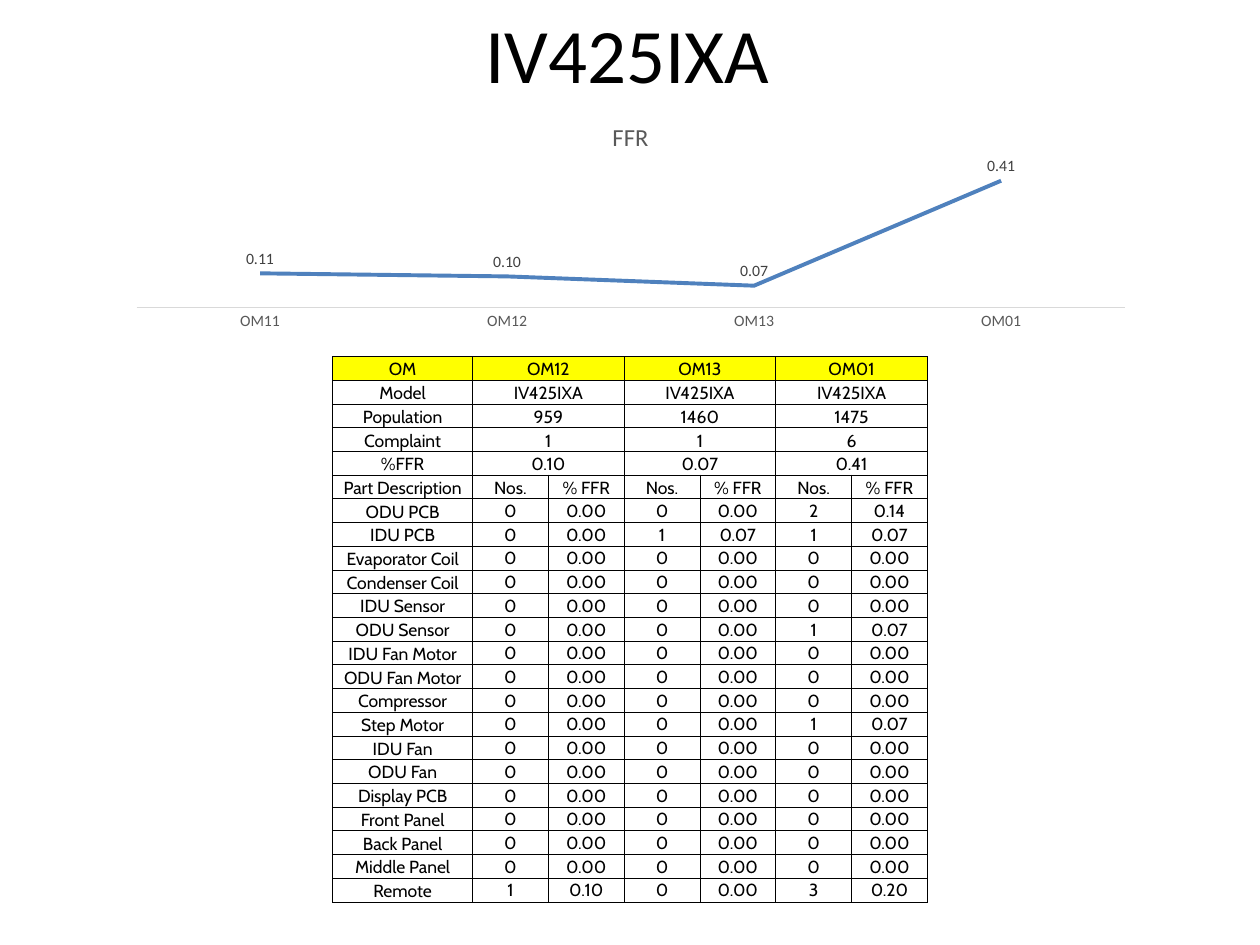
from lxml import etree
from pptx import Presentation
from pptx.chart.data import CategoryChartData
from pptx.dml.color import RGBColor
from pptx.enum.chart import XL_CHART_TYPE, XL_LABEL_POSITION, XL_MARKER_STYLE, XL_TICK_MARK
from pptx.enum.text import MSO_ANCHOR, PP_ALIGN
from pptx.oxml import parse_xml
from pptx.oxml.ns import nsdecls, qn
from pptx.util import Inches, Pt

LINE = XL_CHART_TYPE.LINE
ABOVE = XL_LABEL_POSITION.ABOVE
NO_MARKER = XL_MARKER_STYLE.NONE
NO_TICK = XL_TICK_MARK.NONE
MIDDLE, BOTTOM = MSO_ANCHOR.MIDDLE, MSO_ANCHOR.BOTTOM
CENTER = PP_ALIGN.CENTER

COLORS = {"text": "000000", "header": "FFFF00", "trend": "4F81BD",
          "muted": "595959", "label": "404040", "axis": "D9D9D9"}
MODEL = "IV425IXA"
FFR = {"OM11": 0.11, "OM12": 0.10, "OM13": 0.07, "OM01": 0.41}
MONTHS = ["OM12", "OM13", "OM01"]
POPULATION = [959, 1460, 1475]
COMPLAINTS = [1, 1, 6]
PART_FAILURES = [
    ("ODU PCB", 0, 0, 2), ("IDU PCB", 0, 1, 1),
    ("Evaporator Coil", 0, 0, 0), ("Condenser Coil", 0, 0, 0),
    ("IDU Sensor", 0, 0, 0), ("ODU Sensor", 0, 0, 1),
    ("IDU Fan Motor", 0, 0, 0), ("ODU Fan Motor", 0, 0, 0),
    ("Compressor", 0, 0, 0), ("Step Motor", 0, 0, 1),
    ("IDU Fan", 0, 0, 0), ("ODU Fan", 0, 0, 0),
    ("Display PCB", 0, 0, 0), ("Front Panel", 0, 0, 0),
    ("Back Panel", 0, 0, 0), ("Middle Panel", 0, 0, 0),
    ("Remote", 1, 0, 3),
]
SUMMARY = [
    ("OM", MONTHS),
    ("Model", [MODEL] * len(MONTHS)),
    ("Population", POPULATION),
    ("Complaint", COMPLAINTS),
    ("%FFR", [f"{FFR[month]:.2f}" for month in MONTHS]),
]
TITLE_BOX = (0.48, 0.17, 9, 0.5)
CHART_BOX = (0.92, 0.83, 8.17, 1.83)
TABLE_BOX = (2.64, 2.83, 4.72, 4.33)
PLOT_SHARES = {"x": 0.02, "y": 0.21, "w": 0.96, "h": 0.67}
PART_WIDTH = 1.11


def color(name):
    return RGBColor.from_string(COLORS[name])


def box(lengths):
    return [Inches(length) for length in lengths]


def style(font, size, name, face="Calibri"):
    font.size, font.name, font.bold = Pt(size), face, False
    font.color.rgb = color(name)


def write_cell(cell, text, anchor=BOTTOM):
    cell.margin_left = cell.margin_right = cell.margin_top = Inches(0.01)
    cell.margin_bottom = 0
    cell.vertical_anchor = anchor
    paragraph = cell.text_frame.paragraphs[0]
    paragraph.alignment = CENTER
    run = paragraph.add_run()
    run.text = str(text)
    style(run.font, 10, "text", "Cabin")


def frame_cell(cell, fill=None):
    properties = cell._tc.get_or_add_tcPr()
    for side in ("lnL", "lnR", "lnT", "lnB"):
        properties.append(parse_xml(
            f'<a:{side} {nsdecls("a")} w="{Pt(0.5)}"><a:solidFill>'
            f'<a:srgbClr val="{COLORS["text"]}"/></a:solidFill></a:{side}>'))
    if fill:
        cell.fill.solid()
        cell.fill.fore_color.rgb = color(fill)
    else:
        cell.fill.background()


def add_title(slide):
    title = slide.shapes.title
    title.left, title.top, title.width, title.height = box(TITLE_BOX)
    title.text_frame.vertical_anchor = MIDDLE
    paragraph = title.text_frame.paragraphs[0]
    paragraph.alignment = CENTER
    run = paragraph.add_run()
    run.text = MODEL
    style(run.font, 44, "text")


def add_trend(slide):
    data = CategoryChartData(number_format="0.00")
    data.categories = list(FFR)
    data.add_series("FFR", FFR.values())
    chart = slide.shapes.add_chart(LINE, *box(CHART_BOX), data).chart
    style(chart.font, 10, "text")
    chart.has_legend = False
    chart.has_title = True
    heading = chart.chart_title.text_frame.paragraphs[0].add_run()
    heading.text = "FFR"
    style(heading.font, 14, "muted")
    chart.chart_title.include_in_layout = False

    months = chart.category_axis
    months.major_tick_mark = months.minor_tick_mark = NO_TICK
    style(months.tick_labels.font, 9, "muted")
    months.format.line.color.rgb = color("axis")
    months.format.line.width = Pt(0.75)
    rates = chart.value_axis
    rates.minimum_scale, rates.maximum_scale = 0, 0.5
    rates.has_major_gridlines = False
    rates.visible = False

    plot = chart.plots[0]
    plot.vary_by_categories = False
    trend = plot.series[0]
    trend.smooth = False
    trend.marker.style = NO_MARKER
    trend.format.line.color.rgb = color("trend")
    trend.format.line.width = Pt(2.25)
    labels = trend.data_labels
    labels.show_value = True
    labels.position = ABOVE
    labels.number_format, labels.number_format_is_linked = "0.00", False
    style(labels.font, 9, "label")

    area = chart._chartSpace.chart.plotArea
    for old in area.findall(qn("c:layout")):
        area.remove(old)
    layout = etree.Element(qn("c:layout"))
    manual = etree.SubElement(layout, qn("c:manualLayout"))
    settings = {"layoutTarget": "inner", "xMode": "edge", "yMode": "edge", **PLOT_SHARES}
    for tag, value in settings.items():
        etree.SubElement(manual, qn(f"c:{tag}")).set("val", str(value))
    area.insert(0, layout)


def add_failures(slide):
    row_count = len(SUMMARY) + 1 + len(PART_FAILURES)
    column_count = 1 + 2 * len(MONTHS)
    table = slide.shapes.add_table(row_count, column_count, *box(TABLE_BOX)).table
    table.first_row = table.horz_banding = False
    for row in table.rows:
        row.height = Inches(TABLE_BOX[3] / row_count)
    for index, column in enumerate(table.columns):
        share = (TABLE_BOX[2] - PART_WIDTH) / (column_count - 1)
        column.width = Inches(share if index else PART_WIDTH)

    for r in range(row_count):
        for c in range(column_count):
            frame_cell(table.cell(r, c), None if r else "header")

    for r, (label, values) in enumerate(SUMMARY):
        write_cell(table.cell(r, 0), label)
        for month, value in enumerate(values):
            first = table.cell(r, 1 + 2 * month)
            first.merge(table.cell(r, 2 + 2 * month))
            write_cell(first, value)

    heading_row = len(SUMMARY)
    for c, text in enumerate(["Part Description"] + ["Nos.", "% FFR"] * len(MONTHS)):
        write_cell(table.cell(heading_row, c), text)

    for r, (part, *counts) in enumerate(PART_FAILURES, heading_row + 1):
        write_cell(table.cell(r, 0), part)
        for month, (count, population) in enumerate(zip(counts, POPULATION)):
            write_cell(table.cell(r, 1 + 2 * month), count, MIDDLE)
            rate = f"{100 * count / population:.2f}"
            write_cell(table.cell(r, 2 + 2 * month), rate, MIDDLE)


deck = Presentation()
deck.slide_width, deck.slide_height = Inches(10), Inches(7.5)
slide = deck.slides.add_slide(deck.slide_layouts[5])
add_title(slide)
add_failures(slide)
add_trend(slide)
deck.save("out.pptx")
